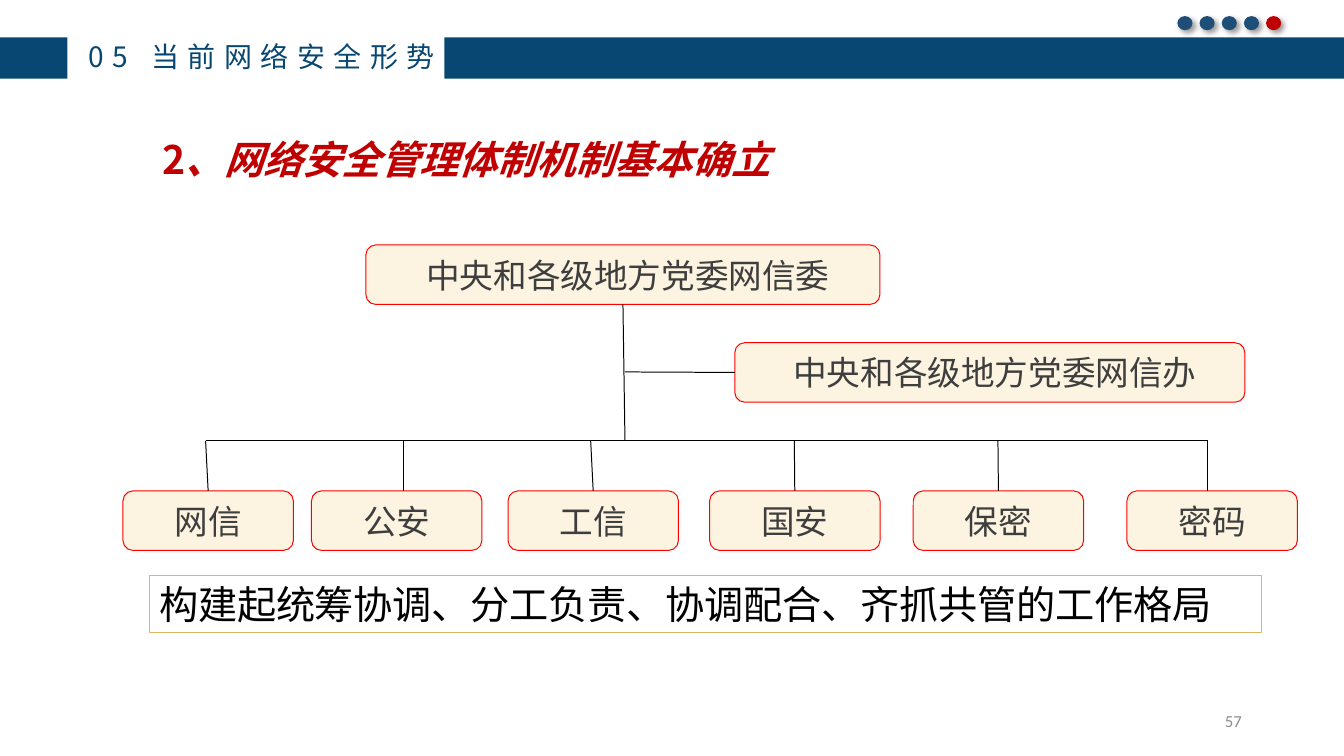
from dataclasses import dataclass

from lxml import etree
from pptx import Presentation
from pptx.dml.color import RGBColor
from pptx.enum.shapes import MSO_CONNECTOR as Connector, MSO_SHAPE as Preset
from pptx.enum.text import MSO_ANCHOR as Anchor, MSO_AUTO_SIZE as AutoSize, PP_ALIGN as Align
from pptx.oxml.ns import qn
from pptx.shapes.autoshape import Shape
from pptx.shapes.connector import Connector as Line
from pptx.slide import Slide
from pptx.util import Emu, Inches, Pt

GRID = 0.1  # inches per column and per row
COLUMNS, ROWS = 133.33, 75
CJK_FONT = "Noto Sans CJK SC"
TOP, LEFT, BOTTOM = 0, 1, 2  # connection sites of a rectangle
COLORS = {
    "navy": "084772", "dot": "1F4E79", "red": "C00000", "border": "FF0000",
    "cream": "FCF4E0", "label": "3E3E3E", "gold": "DDB65F", "number": "8C8C8C",
    "black": "000000",
}


@dataclass(frozen=True)
class Area:
    """A place on the grid, in columns and rows."""
    column: float
    row: float
    width: float
    height: float

    def lengths(self) -> list[Emu]:
        return [grid(n) for n in (self.column, self.row, self.width, self.height)]


@dataclass(frozen=True)
class TextStyle:
    size: float
    color: str
    font: str = CJK_FONT
    bold: bool = False
    align: Align = Align.LEFT
    spacing: float = 0
    left_inset: float = 0
    right_inset: float = 0


@dataclass(frozen=True)
class Unit:
    name: str
    column: float
    wire_top: float
    wire_end: float | None = None  # None joins the middle of the box


TITLE_STYLE = TextStyle(28, "red", bold=True, spacing=-0.1)
SECTION_STYLE = TextStyle(20, "navy", align=Align.RIGHT, spacing=6, left_inset=1, right_inset=1)
COMMITTEE_STYLE = TextStyle(24, "label", align=Align.CENTER, left_inset=1)
UNIT_STYLE = TextStyle(24, "label", align=Align.CENTER)
RESULT_STYLE = TextStyle(28, "black", spacing=-0.1, left_inset=1)
NUMBER_STYLE = TextStyle(12, "number", font="Calibri", align=Align.RIGHT, right_inset=1)

BOX_HEIGHT = 5.9
UNIT_ROW, UNIT_WIDTH = 48.7, 16.9
BUS_ROW, STEM_END = 43.75, 62
BRANCH_ROW = 36.9
UNITS = [
    Unit("网信", 12.2, 20.4),
    Unit("公安", 30.9, 40, 40),
    Unit("工信", 50.4, 58.6),
    Unit("国安", 70.4, 78.8),
    Unit("保密", 90.6, 99),
    Unit("密码", 111.8, 119.8, 119.8),
]
BANDS = [Area(0, 3.7, 6.7, 4.1), Area(44.1, 3.7, COLUMNS - 44.1, 4.1)]
DOT_COLORS = ["dot"] * 4 + ["red"]
DOT_START, DOT_STEP = 116.8, 2.2


def grid(count: float) -> Emu:
    return Inches(count * GRID)


def rgb(name: str) -> RGBColor:
    return RGBColor.from_string(COLORS[name])


def write(shape: Shape, text: str, style: TextStyle, italic_text: str = "",
          wrap: bool = True) -> None:
    """Fill a shape with one vertically centred paragraph."""
    frame = shape.text_frame
    frame.auto_size = AutoSize.NONE
    frame.word_wrap = wrap
    frame.vertical_anchor = Anchor.MIDDLE
    frame.margin_top = frame.margin_bottom = 0
    frame.margin_left, frame.margin_right = grid(style.left_inset), grid(style.right_inset)
    paragraph = frame.paragraphs[0]
    paragraph.alignment = style.align
    font = paragraph.font
    font.size, font.bold, font.name = Pt(style.size), style.bold, style.font
    font.color.rgb = rgb(style.color)
    defaults = paragraph._p.pPr.find(qn("a:defRPr"))
    etree.SubElement(defaults, qn("a:ea"), typeface=style.font)
    for words, italic in ((text, False), (italic_text, True)):
        if words:
            run = paragraph.add_run()
            run.text = words
            if italic:
                run.font.italic = True
            if style.spacing:
                run._r.get_or_add_rPr().set("spc", str(round(style.spacing * 100)))


def add_box(slide: Slide, preset: Preset, area: Area, fill: str | None = None,
            line: str | None = None) -> Shape:
    shape = slide.shapes.add_shape(preset, *area.lengths())
    shape.shadow.inherit = False
    if fill:
        shape.fill.solid()
        shape.fill.fore_color.rgb = rgb(fill)
    else:
        shape.fill.background()
    if line:
        shape.line.color.rgb = rgb(line)
        shape.line.width = Pt(0.72)
    else:
        shape.line.fill.background()
    return shape


def add_chart_box(slide: Slide, text: str, area: Area, style: TextStyle) -> Shape:
    """Add one box of the organisation chart."""
    box = add_box(slide, Preset.ROUNDED_RECTANGLE, area, "cream", "border")
    write(box, text, style)
    return box


def add_wire(slide: Slide, start: tuple[float, float], end: tuple[float, float]) -> Line:
    points = [grid(n) for n in (*start, *end)]
    wire = slide.shapes.add_connector(Connector.STRAIGHT, *points)
    wire.line.color.rgb = rgb("black")
    wire.line.width = Pt(0.72)
    etree.SubElement(wire._element.spPr, qn("a:effectLst"))
    return wire


def add_text(slide: Slide, text: str, area: Area, style: TextStyle, wrap: bool = True) -> None:
    write(slide.shapes.add_textbox(*area.lengths()), text, style, wrap=wrap)


def add_dot(slide: Slide, column: float, color: str) -> None:
    dot = add_box(slide, Preset.OVAL, Area(column, 1.6, 1.5, 1.4), color)
    effects = dot._element.spPr.find(qn("a:effectLst"))
    shadow = etree.SubElement(effects, qn("a:outerShdw"), blurRad=str(Pt(4)), dist=str(Pt(3)),
                              dir=str(45 * 60000), algn="tl", rotWithShape="0")
    shade = etree.SubElement(shadow, qn("a:srgbClr"), val=COLORS["black"])
    etree.SubElement(shade, qn("a:alpha"), val="40000")


def add_organisation(slide: Slide) -> None:
    committee = add_chart_box(slide, "中央和各级地方党委网信委",
                              Area(36.3, 24.3, 51, BOX_HEIGHT), COMMITTEE_STYLE)
    office = add_chart_box(slide, "中央和各级地方党委网信办",
                           Area(72.9, 34, 50.6, BOX_HEIGHT), COMMITTEE_STYLE)
    stem = add_wire(slide, (61.8, 30.2), (STEM_END, BUS_ROW))
    stem.begin_connect(committee, BOTTOM)
    branch = add_wire(slide, (STEM_END, BRANCH_ROW), (72.9, BRANCH_ROW))
    branch.end_connect(office, LEFT)
    add_wire(slide, (UNITS[0].wire_top, BUS_ROW), (UNITS[-1].wire_top, BUS_ROW))
    for unit in UNITS:
        area = Area(unit.column, UNIT_ROW, UNIT_WIDTH, BOX_HEIGHT)
        box = add_chart_box(slide, unit.name, area, UNIT_STYLE)
        end = unit.wire_end or unit.column + UNIT_WIDTH / 2
        wire = add_wire(slide, (unit.wire_top, BUS_ROW), (end, UNIT_ROW))
        if unit.wire_end is None:
            wire.end_connect(box, TOP)


def main() -> None:
    presentation = Presentation()
    presentation.slide_width, presentation.slide_height = grid(COLUMNS), grid(ROWS)
    slide = presentation.slides.add_slide(presentation.slide_layouts[5])

    title = slide.shapes.title
    title.left, title.top, title.width, title.height = Area(16.1, 13, 103, 5.6).lengths()
    write(title, "2", TITLE_STYLE, italic_text="、网络安全管理体制机制基本确立")

    add_organisation(slide)
    result = add_box(slide, Preset.RECTANGLE, Area(14.8, 57.1, 110.4, 5.7), line="gold")
    write(result, "构建起统筹协调、分工负责、协调配合、齐抓共管的工作格局", RESULT_STYLE)

    for band in BANDS:
        add_box(slide, Preset.RECTANGLE, band, "navy")
    add_text(slide, "05 当前网络安全形势", Area(6.3, 3.4, 37.8, 4.4), SECTION_STYLE, wrap=False)
    for index, color in enumerate(DOT_COLORS):
        add_dot(slide, DOT_START + index * DOT_STEP, color)
    add_text(slide, "57", Area(94.2, 69.5, 30, 4), NUMBER_STYLE)
    presentation.save("out.pptx")


if __name__ == "__main__":
    main()
